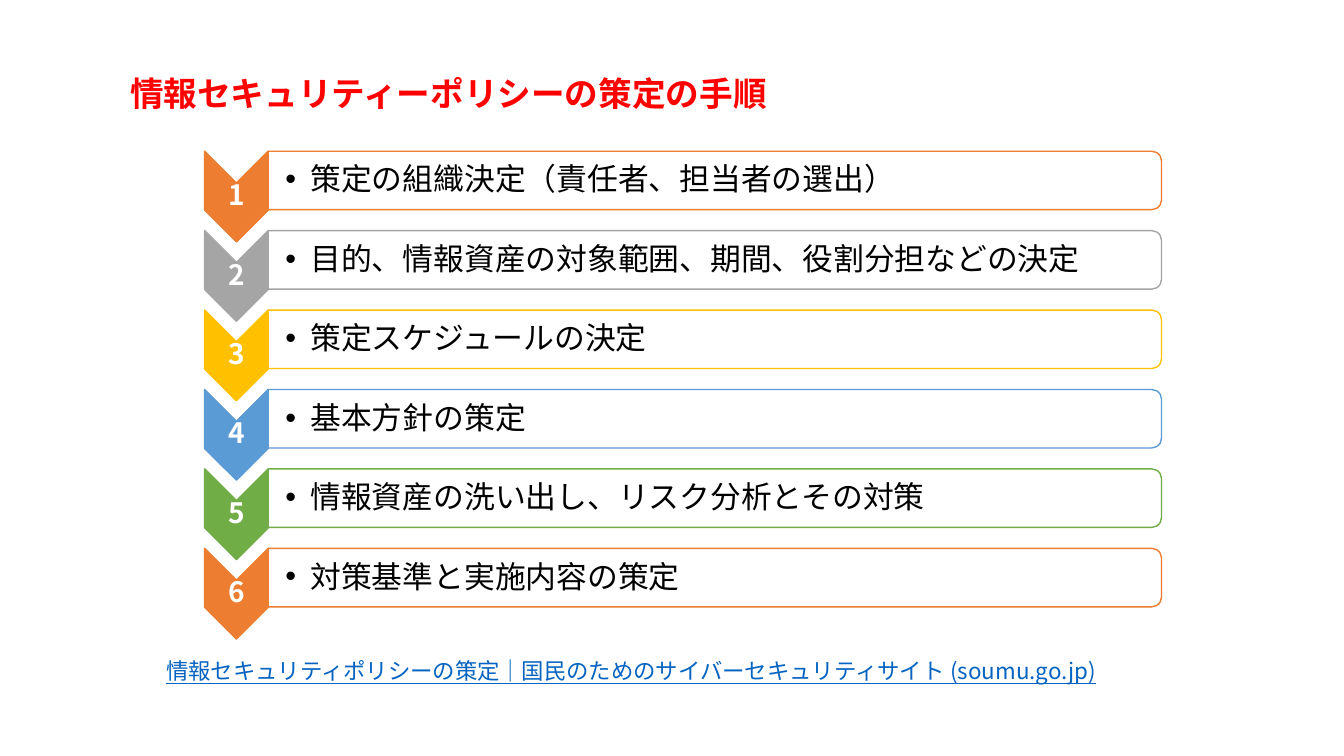
from lxml import etree
from pptx import Presentation
from pptx.dml.color import RGBColor
from pptx.enum.shapes import MSO_SHAPE
from pptx.enum.text import MSO_ANCHOR, MSO_AUTO_SIZE, PP_ALIGN
from pptx.oxml.ns import qn
from pptx.util import Inches, Pt

CHEVRON = MSO_SHAPE.CHEVRON
ROUNDED_BAR = MSO_SHAPE.ROUND_2_SAME_RECTANGLE
MIDDLE = MSO_ANCHOR.MIDDLE
NO_FIT = MSO_AUTO_SIZE.NONE
LEFT, CENTER = PP_ALIGN.LEFT, PP_ALIGN.CENTER
TITLE_ONLY = 5

FONT = "Noto Sans CJK JP"
COLORS = {
    "title": "FF0000", "link": "0563C1", "text": "000000", "white": "FFFFFF",
    "orange": "ED7D31", "gray": "A5A5A5", "yellow": "FFC000",
    "blue": "5B9BD5", "green": "70AD47",
}
TITLE = "情報セキュリティーポリシーの策定の手順"
SOURCE = "情報セキュリティポリシーの策定｜国民のためのサイバーセキュリティサイト (soumu.go.jp)"
STEPS = [
    ("策定の組織決定（責任者、担当者の選出）", "orange"),
    ("目的、情報資産の対象範囲、期間、役割分担などの決定", "gray"),
    ("策定スケジュールの決定", "yellow"),
    ("基本方針の策定", "blue"),
    ("情報資産の洗い出し、リスク分析とその対策", "green"),
    ("対策基準と実施内容の策定", "orange"),
]
CHEVRON_WIDTH, CHEVRON_HEIGHT = 0.63, 0.9
BAR_HEIGHT = 0.58


def rgb(name):
    return RGBColor.from_string(COLORS[name])


def style(para, size, color, bold=False, underline=False):
    font = para.font
    font.name, font.size = FONT, Pt(size)
    font.bold, font.underline = bold, underline
    font.color.rgb = rgb(color)
    latin = para._p.pPr.find(qn("a:defRPr")).find(qn("a:latin"))
    east_asian = etree.Element(qn("a:ea"), typeface=FONT)
    latin.addnext(east_asian)


def write(box, text, align, margins=(0.1, 0.05, 0.1, 0.05)):
    """Fill the box with one vertically centred paragraph and return it."""
    frame = box.text_frame
    frame.word_wrap, frame.auto_size = True, NO_FIT
    frame.vertical_anchor = MIDDLE
    (frame.margin_left, frame.margin_top,
     frame.margin_right, frame.margin_bottom) = map(Inches, margins)
    frame.text = text
    para = frame.paragraphs[0]
    para.alignment = align
    return para


def add_text_box(page, left, top, width, height):
    return page.shapes.add_textbox(*map(Inches, (left, top, width, height)))


def add_upright_shape(page, kind, left, top, width, height, fill, line):
    """Add a shape turned a quarter clockwise that covers the given box."""
    shape = page.shapes.add_shape(
        kind, Inches(left + (width - height) / 2),
        Inches(top + (height - width) / 2), Inches(height), Inches(width))
    shape.rotation = 90
    shape.shadow.inherit = False
    shape.fill.solid()
    shape.fill.fore_color.rgb = rgb(fill)
    shape.line.color.rgb = rgb(line)
    shape.line.width = Pt(1)
    return shape


def add_bullet(para, indent):
    properties = para._p.get_or_add_pPr()
    properties.set("marL", str(Inches(indent)))
    properties.set("indent", str(-Inches(indent)))
    etree.SubElement(properties, qn("a:buFont"), typeface="Arial")
    etree.SubElement(properties, qn("a:buChar"), char="•")


def add_title(page, left, top, width, height):
    title = page.shapes.title
    title.left, title.top = Inches(left), Inches(top)
    title.width, title.height = Inches(width), Inches(height)
    style(write(title, TITLE, LEFT), 24, "title", bold=True)


def add_step(page, left, top, width, number, text, color):
    add_upright_shape(page, CHEVRON, left, top, CHEVRON_WIDTH, CHEVRON_HEIGHT,
                      color, color)
    label = add_text_box(page, left, top + CHEVRON_WIDTH / 2, CHEVRON_WIDTH,
                         CHEVRON_HEIGHT - CHEVRON_WIDTH)
    para = write(label, str(number), CENTER, (0.01,) * 4)
    para.line_spacing = 0.9
    style(para, 20, "white", bold=True)

    bar_left, bar_width = left + CHEVRON_WIDTH, width - CHEVRON_WIDTH
    add_upright_shape(page, ROUNDED_BAR, bar_left, top, bar_width, BAR_HEIGHT,
                      "white", color)
    body = add_text_box(page, bar_left, top + 0.03, bar_width - 0.03,
                        BAR_HEIGHT - 0.05)
    para = write(body, text, LEFT, (0.17, 0.02, 0.02, 0.02))
    para.line_spacing = 0.9
    add_bullet(para, 0.25)
    style(para, 22, "text")


def add_steps(page, left, top, width, height):
    pitch = (height - CHEVRON_HEIGHT) / (len(STEPS) - 1)
    for index, (text, color) in enumerate(STEPS):
        add_step(page, left, top + index * pitch, width, index + 1, text, color)


def add_source(page, left, top, width, height):
    box = add_text_box(page, left, top, width, height)
    style(write(box, SOURCE, LEFT), 16, "link", underline=True)


def main():
    deck = Presentation()
    deck.slide_width, deck.slide_height = Inches(13.33), Inches(7.5)
    page = deck.slides.add_slide(deck.slide_layouts[TITLE_ONLY])
    add_title(page, 1.19, 0.67, 10.95, 0.5)
    add_source(page, 1.55, 6.47, 10.22, 0.37)
    add_steps(page, 2.03, 1.5, 9.49, 4.84)
    deck.save("out.pptx")


if __name__ == "__main__":
    main()
